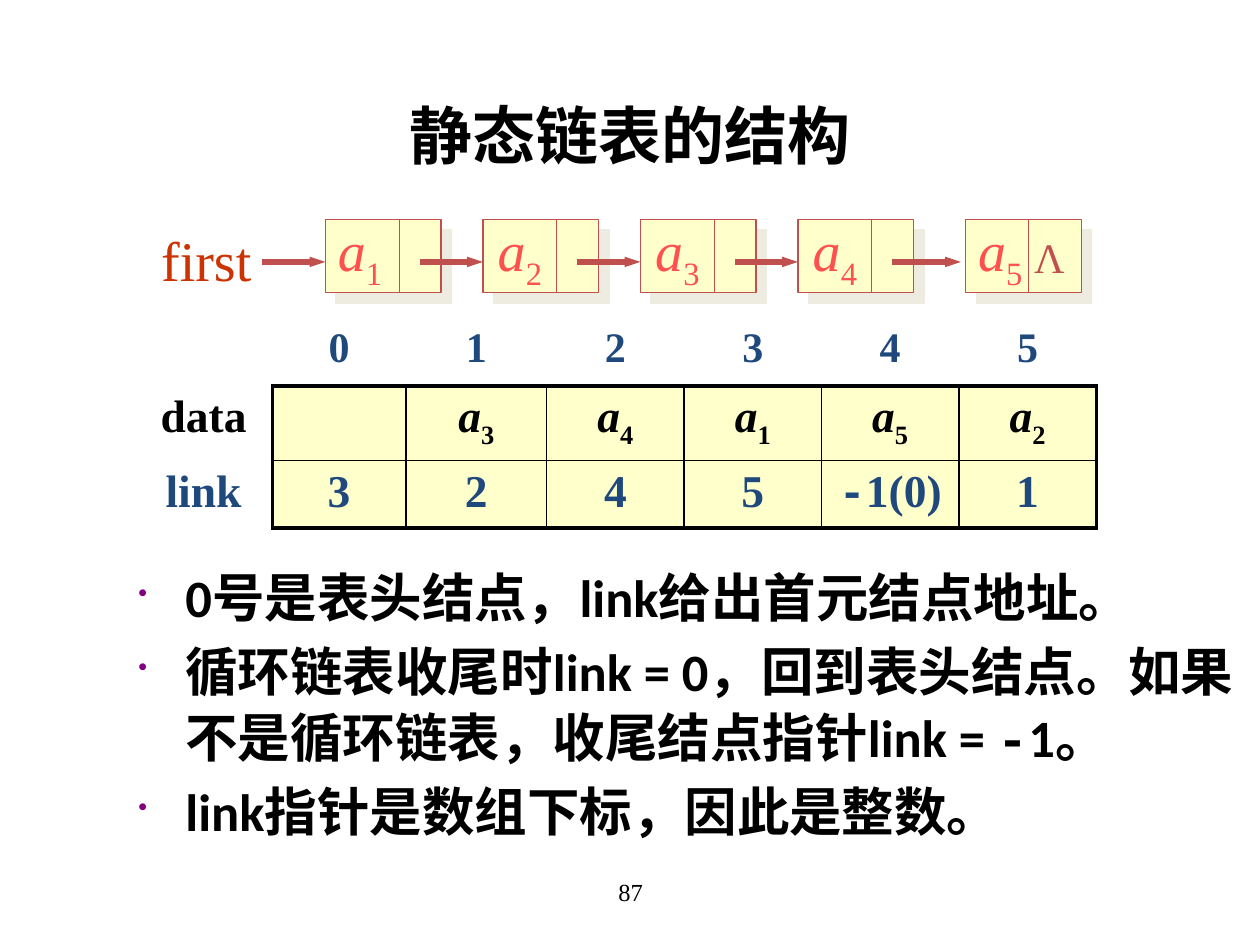
from lxml.etree import SubElement
from pptx import Presentation
from pptx.dml.color import RGBColor
from pptx.enum.shapes import MSO_CONNECTOR, MSO_SHAPE
from pptx.enum.text import MSO_ANCHOR, PP_ALIGN
from pptx.oxml import parse_xml
from pptx.oxml.ns import nsdecls, qn
from pptx.util import Cm, Pt

BLACK = RGBColor(0x00, 0x00, 0x00)
NAVY = RGBColor(0x1F, 0x49, 0x7D)
CREAM = RGBColor(0xFF, 0xFF, 0xCC)
BRICK = RGBColor(0xC0, 0x50, 0x4D)
CORAL = RGBColor(0xFF, 0x50, 0x50)
RUST = RGBColor(0xCC, 0x33, 0x00)
SERIF, SANS, MONO = "Times New Roman", "Calibri", "Courier New"
ITALIC, SUBSCRIPT = {"italic": True}, {"subscript": True}


def write(paragraph, *runs, size, color, font=SERIF, bold=False, align=PP_ALIGN.LEFT,
          before=0, spacing=None):
    """Fill a paragraph with runs, each a (text, overrides) pair."""
    paragraph.alignment = align
    if spacing:
        paragraph.line_spacing = spacing
    if before:
        space = SubElement(paragraph._p.get_or_add_pPr(), qn("a:spcBef"))
        SubElement(space, qn("a:spcPct")).set("val", str(before * 1000))
    for text, extra in runs:
        run = paragraph.add_run()
        run.text = text
        run.font.size = Pt(size)
        run.font.name = extra.get("font", font)
        run.font.bold = bold
        run.font.italic = extra.get("italic", False)
        run.font.color.rgb = color
        if "subscript" in extra:
            run.font._element.set("baseline", "-25000")


def text_frame(left, top, width, height, wrap=False, anchor=MSO_ANCHOR.TOP):
    """Add a text box, measured in centimetres, and return its frame."""
    frame = slide.shapes.add_textbox(Cm(left), Cm(top), Cm(width), Cm(height)).text_frame
    frame.word_wrap = wrap
    frame.vertical_anchor = anchor
    return frame


deck = Presentation()
deck.slide_width, deck.slide_height = Cm(25.4), Cm(19.05)
slide = deck.slides.add_slide(deck.slide_layouts[6])

# Title and page number
title = text_frame(1.27, 1.27, 22.86, 2.87, wrap=True, anchor=MSO_ANCHOR.MIDDLE)
write(title.paragraphs[0], ("静态链表的结构", {}), size=36, color=BLACK, font=SANS,
      bold=True, align=PP_ALIGN.CENTER)
page_number = text_frame(8.69, 17.35, 8.05, 1.27, wrap=True, anchor=MSO_ANCHOR.MIDDLE)
write(page_number.paragraphs[0], ("87", {}), size=14, color=BLACK, align=PP_ALIGN.CENTER)

# Table of the static list
INDEX_ROW = [""] + list("012345")
DATA_ROW = ["data", ""] + [f"a{n}" for n in (3, 4, 1, 5, 2)]
LINK_ROW = ["link", "3", "2", "4", "5", "-1(0)", "1"]
COLUMN_WIDTHS = [2.77, 2.69, 2.84, 2.77, 2.77, 2.77, 2.77]
THICK, THIN = 2.25, 1

static_list = slide.shapes.add_table(3, 7, Cm(2.72), Cm(6.43), Cm(19.38), Cm(4.05)).table
static_list.first_row = static_list.horz_banding = False
for column, width in zip(static_list.columns, COLUMN_WIDTHS):
    column.width = Cm(width)
for r, values in enumerate([INDEX_ROW, DATA_ROW, LINK_ROW]):
    static_list.rows[r].height = Cm(1.35)
    for c, value in enumerate(values):
        cell = static_list.cell(r, c)
        edges = {"lnL": (r > 0 and c > 0, c == 1), "lnR": (r > 0, c in (0, 6)),
                 "lnT": (c > 0 and r > 0, r == 1), "lnB": (c > 0, r in (0, 2))}
        for tag, (visible, outer) in edges.items():
            border = SubElement(cell._tc.get_or_add_tcPr(), qn(f"a:{tag}"))
            if visible:
                border.set("w", str(Pt(THICK if outer else THIN)))
                fill = SubElement(border, qn("a:solidFill"))
                SubElement(fill, qn("a:srgbClr")).set("val", str(BLACK))
            else:
                SubElement(border, qn("a:noFill"))
        if r and c:
            cell.fill.solid()
            cell.fill.fore_color.rgb = CREAM
        else:
            cell.fill.background()
        if value.startswith("a"):
            runs = [("a", ITALIC), (value[1:], SUBSCRIPT)]
        elif value.startswith("-"):
            runs = [("-", {"font": MONO}), (value[1:], {})]
        else:
            runs = [(value, {})] if value else []
        write(cell.text_frame.paragraphs[0], *runs, size=26 if r else 24,
              color=BLACK if r == 1 else NAVY, bold=True, align=PP_ALIGN.CENTER, before=20)

# Notes under the table
NOTES = [
    [("0号是表头结点，link给出首元结点地址。", {})],
    [("循环链表收尾时link = 0，回到表头结点。如果不是循环链表，收尾结点指针link = ", {}),
     ("-", {"font": MONO}), ("1。", {})],
    [("link指针是数组下标，因此是整数。", {})],
]
notes = text_frame(2.54, 11.2, 22.86, 6.5, wrap=True)
for i, runs in enumerate(NOTES):
    note = notes.add_paragraph() if i else notes.paragraphs[0]
    write(note, *runs, size=30, color=BLACK, font=SANS, bold=True, before=15, spacing=1.05)
    properties = note._p.get_or_add_pPr()
    properties.set("marL", str(Cm(0.95)))
    properties.set("indent", str(Cm(-0.95)))
    bullet_color = SubElement(properties, qn("a:buClr"))
    SubElement(bullet_color, qn("a:srgbClr")).set("val", "800080")
    SubElement(properties, qn("a:buSzPct")).set("val", "50000")
    SubElement(properties, qn("a:buChar")).set("char", "•")

# Linked nodes: box, divider and incoming arrow
NODE_TOP, NODE_WIDTH, NODE_HEIGHT, ARROW_Y = 4.42, 2.33, 1.48, 5.28
PITCH = 3.175
node_lefts = [6.56 + PITCH * n for n in range(4)] + [19.47]
for n, left in enumerate(node_lefts):
    last = n == 4
    node = slide.shapes.add_shape(MSO_SHAPE.RECTANGLE, Cm(left), Cm(NODE_TOP),
                                  Cm(NODE_WIDTH), Cm(NODE_HEIGHT))
    node.fill.solid()
    node.fill.fore_color.rgb = CREAM
    node.line.color.rgb = BRICK
    node.line.width = Pt(0.75)
    node._element.spPr.append(parse_xml(
        f'<a:effectLst {nsdecls("a")}><a:outerShdw dist="{Pt(8.5)}" dir="2700000" '
        'algn="ctr" rotWithShape="0"><a:srgbClr val="EEECE1"/></a:outerShdw></a:effectLst>'))

    divider_x = left + (1.27 if last else 1.49)
    arrow_start = 5.29 + PITCH * n
    arrow_end = left - 0.1 if last else left
    for x1, y1, x2, y2, weight in [
            (divider_x, NODE_TOP, divider_x, NODE_TOP + NODE_HEIGHT, 0.75),
            (arrow_start, ARROW_Y, arrow_end, ARROW_Y, 3)]:
        link = slide.shapes.add_connector(MSO_CONNECTOR.STRAIGHT, Cm(x1), Cm(y1),
                                          Cm(x2), Cm(y2))
        link.line.color.rgb = BRICK
        link.line.width = Pt(weight)
        if y1 == y2:
            head = SubElement(link.line._get_or_add_ln(), qn("a:tailEnd"))
            head.set("type", "triangle")
            head.set("w", "sm")
        SubElement(link._element.spPr, qn("a:effectLst"))

# Node labels, end mark and head pointer
for n, left in enumerate(node_lefts):
    label = text_frame(left + (0.05 if n in (1, 2, 3) else 0), 4.22, 1.45, 1.6)
    write(label.paragraphs[0], ("a", ITALIC), (str(n + 1), SUBSCRIPT), size=32, color=CORAL)
end_mark = text_frame(20.6, 4.55, 1.37, 1.27)
write(end_mark.paragraphs[0], ("Λ", {}), size=24, color=BRICK)
head_pointer = text_frame(3, 4.42, 2.51, 1.6)
write(head_pointer.paragraphs[0], ("first", {}), size=32, color=RUST)

deck.save("out.pptx")
